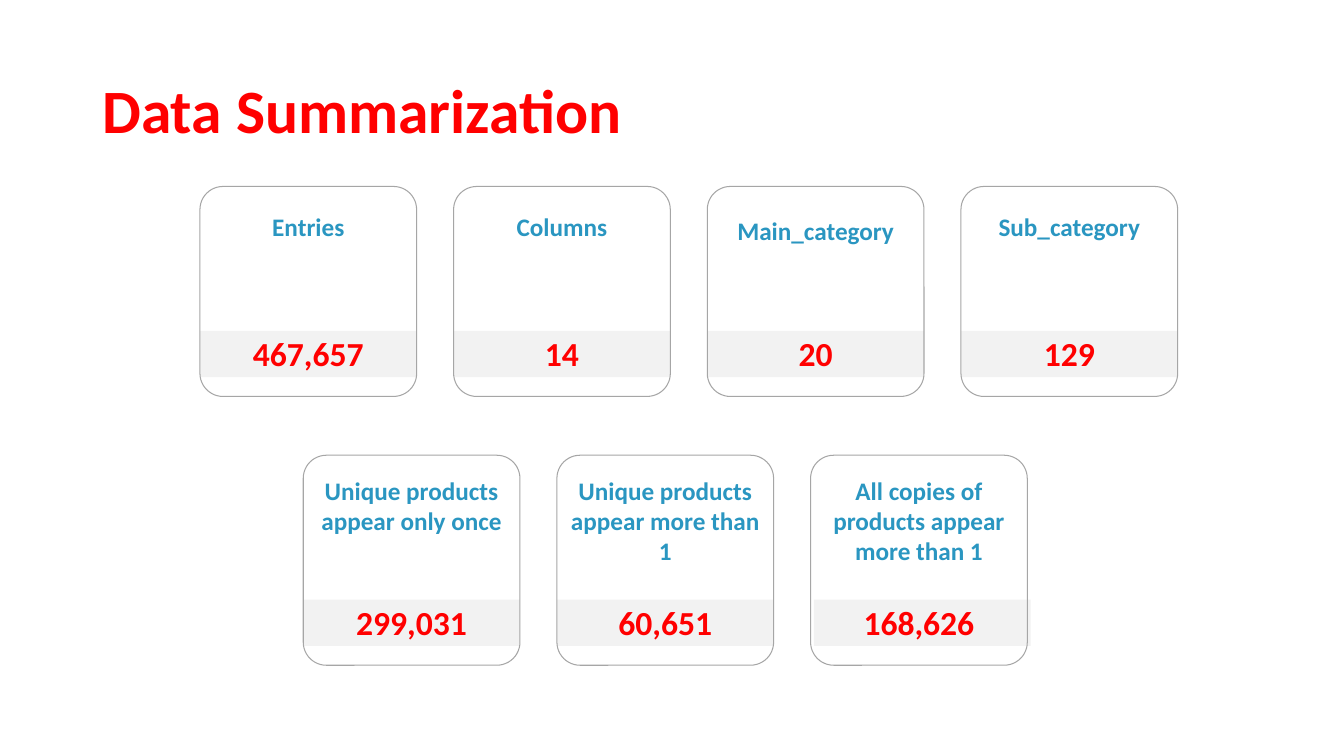
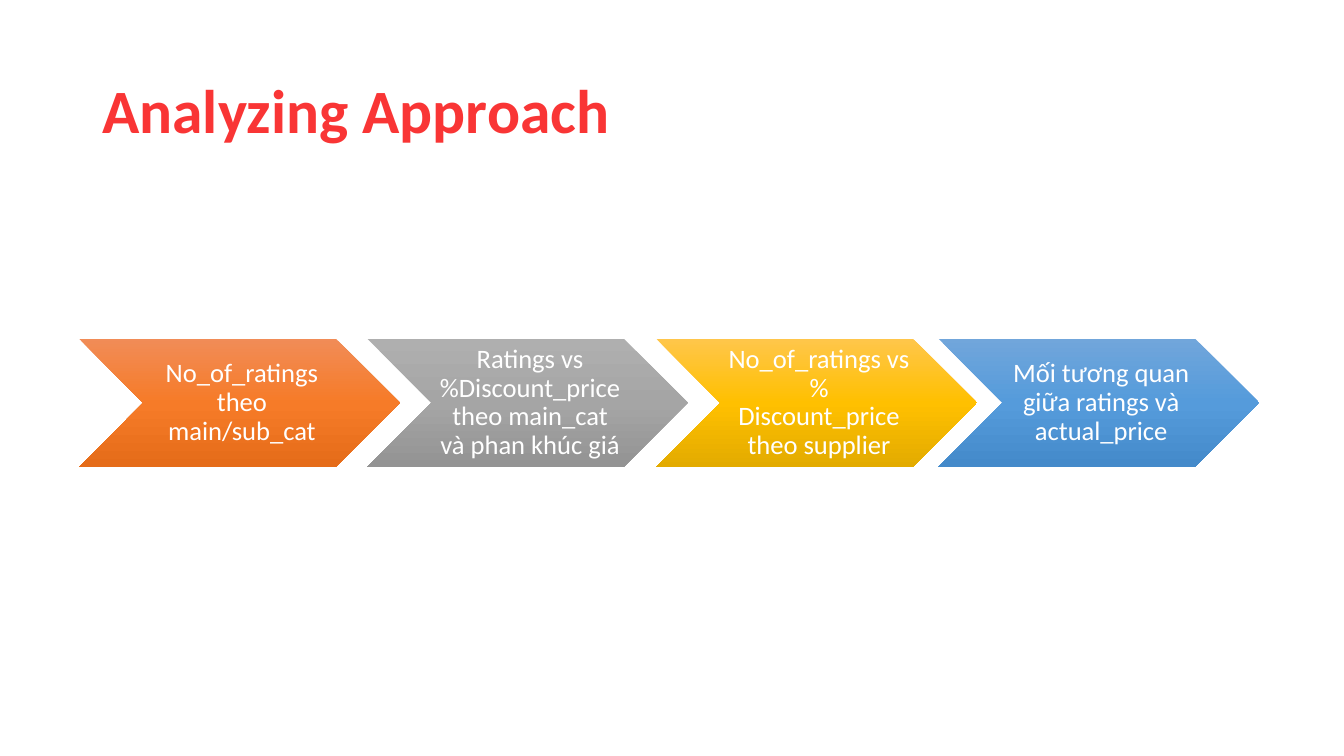
from dataclasses import dataclass

from lxml.etree import SubElement
from pptx import Presentation
from pptx.dml.color import RGBColor
from pptx.enum.shapes import MSO_SHAPE as Preset
from pptx.enum.text import MSO_ANCHOR as Anchor, PP_ALIGN as Align
from pptx.oxml.ns import qn
from pptx.util import Inches, Pt

GRID_COLUMNS, GRID_ROWS = 160, 90
SLIDE_WIDTH, SLIDE_HEIGHT = Inches(13.333), Inches(7.5)


@dataclass(frozen=True)
class Theme:
    font: str = "Calibri"
    title_red: str = "FF0000"
    soft_red: str = "F93535"
    label_blue: str = "2A96C1"
    outline: str = "A6A6A6"
    bar: str = "F2F2F2"
    white: str = "FFFFFF"
    orange: tuple = ("F18C57", "F67B28", "E56C19")
    gray: tuple = ("AFAFAF", "A5A5A5", "939393")
    gold: tuple = ("FFC64B", "FFC000", "E3AB00")
    blue: tuple = ("71A6DB", "559BDB", "448ACA")
    title_size: int = 44
    value_size: int = 24
    step_size: int = 19
    label_size: int = 18


@dataclass(frozen=True)
class Card:
    label: str
    value: str
    label_drop: float = 2.4
    bar_shift: float = 0


THEME = Theme()
CARD_WIDTH, CARD_HEIGHT, CARD_STEP = 25.8, 25, 30.2
CARD_ROWS = (
    (23.8, 22.2, (
        Card("Entries", "467,657"),
        Card("Columns", "14"),
        Card("Main_category", "20", label_drop=2.8),
        Card("Sub_category", "129"),
    )),
    (36.1, 54.2, (
        Card("Unique products\nappear only once", "299,031", label_drop=1.8),
        Card("Unique products\nappear more than 1", "60,651", label_drop=1.8),
        Card("All copies of products appear more than 1", "168,626",
             label_drop=1.8, bar_shift=0.4),
    )),
)
STEPS = (
    (9.4, "No_of_ratings theo main/sub_cat", THEME.orange),
    (43.7, "Ratings vs %Discount_price theo main_cat và phan khúc giá", THEME.gray),
    (78.1, "No_of_ratings vs % Discount_price theo supplier", THEME.gold),
    (111.7, "Mối tương quan giữa ratings và actual_price", THEME.blue),
)


def place(left, top, width, height):
    column, row = SLIDE_WIDTH / GRID_COLUMNS, SLIDE_HEIGHT / GRID_ROWS
    return [int(n) for n in (left * column, top * row, width * column, height * row)]


def apply(target, values):
    for name, value in values.items():
        setattr(target, name, value)


def write(shape, text, size, color, bold=True, frame_format=None, para_format=None):
    frame = shape.text_frame
    apply(frame, {"word_wrap": True, **(frame_format or {})})
    for index, line in enumerate(text.split("\n")):
        para = frame.paragraphs[0] if index == 0 else frame.add_paragraph()
        apply(para, {"alignment": Align.CENTER, **(para_format or {})})
        span = para.add_run()
        span.text = line
        apply(span.font, {"name": THEME.font, "size": Pt(size), "bold": bold})
        span.font.color.rgb = RGBColor.from_string(color)


def add_text(page, area, text, size, color, **formats):
    box = page.shapes.add_textbox(*place(*area))
    write(box, text, size, color, **formats)


def add_title(page, text, color):
    add_text(page, (11, 4.8, 138, 17.4), text, THEME.title_size, color,
             frame_format={"vertical_anchor": Anchor.MIDDLE},
             para_format={"alignment": Align.LEFT, "line_spacing": 0.9})


def add_preset(page, preset, area):
    shape = page.shapes.add_shape(preset, *place(*area))
    shape.shadow.inherit = False
    shape.line.fill.background()
    return shape


def add_card(page, left, top, card):
    bar = add_preset(page, Preset.RECTANGLE,
                     (left + card.bar_shift, top + 17.2, CARD_WIDTH, 5.5))
    bar.fill.solid()
    bar.fill.fore_color.rgb = RGBColor.from_string(THEME.bar)
    outline = add_preset(page, Preset.ROUNDED_RECTANGLE,
                         (left, top, CARD_WIDTH, CARD_HEIGHT))
    outline.adjustments[0] = 0.11
    outline.fill.background()
    outline.line.color.rgb = RGBColor.from_string(THEME.outline)
    outline.line.width = Pt(0)
    add_text(page, (left, top + card.label_drop, CARD_WIDTH, 4.8),
             card.label, THEME.label_size, THEME.label_blue,
             frame_format={"word_wrap": "\n" not in card.label})
    add_text(page, (left, top + 16.9, CARD_WIDTH, 6),
             card.value, THEME.value_size, THEME.title_red)


def fill_gradient(shape, colors):
    shape.fill.gradient()
    shape.fill.gradient_angle = 270
    stops = shape._element.spPr.find(qn("a:gradFill")).find(qn("a:gsLst"))
    for stop in list(stops):
        stops.remove(stop)
    for index, color in enumerate(colors):
        position = index * 100000 // (len(colors) - 1)
        stop = SubElement(stops, qn("a:gs"), pos=str(position))
        SubElement(stop, qn("a:srgbClr"), val=color)


def add_step(page, left, text, colors):
    chevron = add_preset(page, Preset.CHEVRON, (left, 40.3, 38.2, 15.3))
    fill_gradient(chevron, colors)
    margins = {f"margin_{side}": Inches(0.03) for side in ("top", "right", "bottom")}
    write(chevron, text, THEME.step_size, THEME.white, bold=False,
          frame_format={"vertical_anchor": Anchor.MIDDLE,
                        "margin_left": Inches(0.08), **margins},
          para_format={"line_spacing": 0.9})


def add_page(deck, title, color):
    page = deck.slides.add_slide(deck.slide_layouts[6])
    add_title(page, title, color)
    return page


def main():
    deck = Presentation()
    apply(deck, {"slide_width": SLIDE_WIDTH, "slide_height": SLIDE_HEIGHT})

    summary = add_page(deck, "Data Summarization", THEME.title_red)
    for left, top, cards in CARD_ROWS:
        for index, card in enumerate(cards):
            add_card(summary, left + index * CARD_STEP, top, card)

    approach = add_page(deck, "Analyzing Approach", THEME.soft_red)
    for left, text, colors in STEPS:
        add_step(approach, left, text, colors)

    deck.save("out.pptx")


if __name__ == "__main__":
    main()
